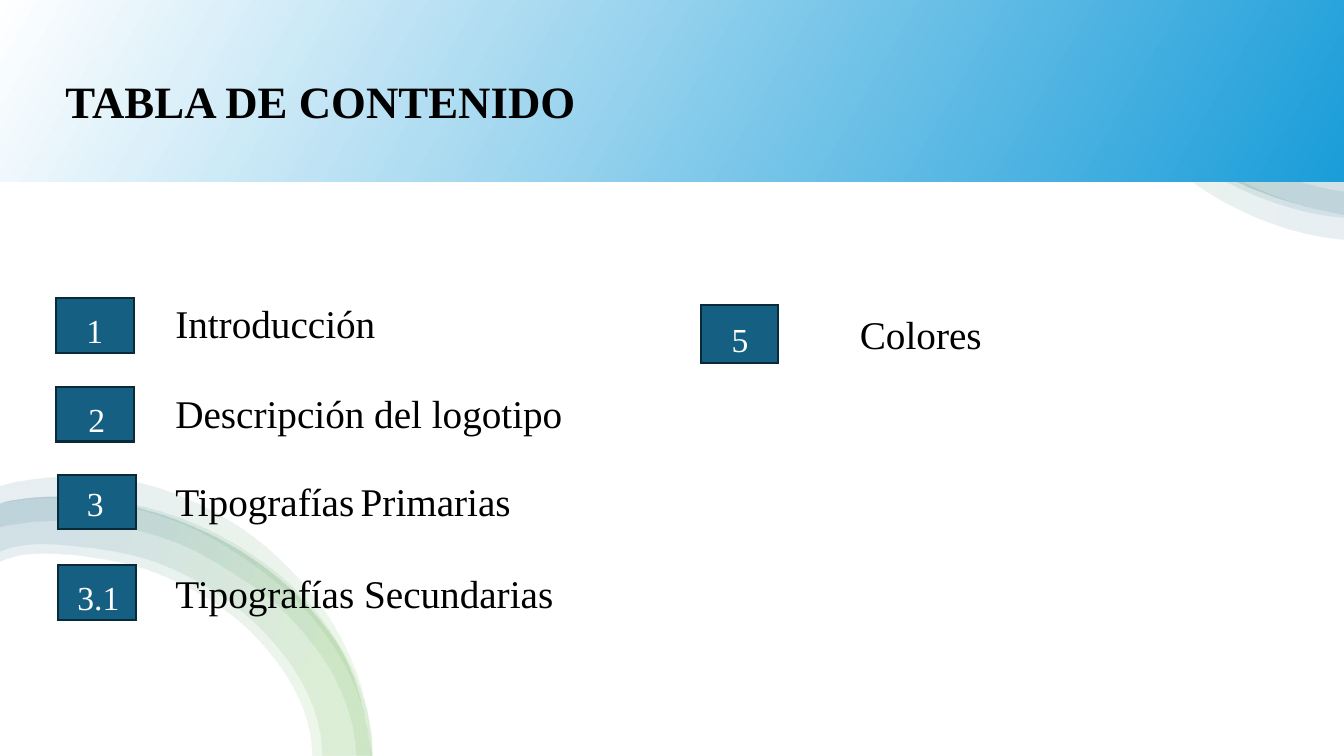
from lxml import etree
from pptx import Presentation
from pptx.dml.color import RGBColor
from pptx.enum.shapes import MSO_SHAPE
from pptx.enum.text import MSO_ANCHOR, MSO_AUTO_SIZE, PP_ALIGN
from pptx.oxml.ns import qn
from pptx.util import Inches, Pt

FONT = "Times New Roman"
rgb = RGBColor.from_string

prs = Presentation()
prs.slide_width, prs.slide_height = Inches(13.33), Inches(7.5)
s = prs.slides.add_slide(prs.slide_layouts[5])


def set_gradient(sp, stops, angle, opacity=100):
    """Fill with (position %, colour) stops at a clockwise angle in degrees."""
    sp.shadow.inherit = False
    sp.line.fill.background()
    sp.fill.gradient()
    grad = sp.element.spPr.find(qn("a:gradFill"))
    stop_list = grad.find(qn("a:gsLst"))
    for old in list(stop_list):
        stop_list.remove(old)
    for pos, color in stops:
        gs = etree.SubElement(stop_list, qn("a:gs"), pos=str(pos * 1000))
        clr = etree.SubElement(gs, qn("a:srgbClr"), val=color)
        if opacity < 100:
            etree.SubElement(clr, qn("a:alpha"), val=str(opacity * 1000))
    grad.find(qn("a:lin")).set("ang", str(angle * 60000))


def add_text(x, y, w, h, runs, color, align=PP_ALIGN.LEFT):
    tf = s.shapes.add_textbox(Inches(x), Inches(y), Inches(w), Inches(h)).text_frame
    tf.word_wrap = True
    tf.auto_size = MSO_AUTO_SIZE.SHAPE_TO_FIT_TEXT
    p = tf.paragraphs[0]
    p.alignment = align
    for text, size in runs:
        r = p.add_run()
        r.text = text
        r.font.name, r.font.size = FONT, Pt(size)
        r.font.color.rgb = rgb(color)


backdrop = s.shapes.add_shape(MSO_SHAPE.RECTANGLE, 0, 0, prs.slide_width, prs.slide_height)
backdrop.shadow.inherit = False
backdrop.fill.solid()
backdrop.fill.fore_color.rgb = rgb("FFFFFF")
backdrop.line.fill.background()

# Translucent rings: outer edge, inner edge, gradient angle
top_edge = [(10.61, 0), (11.25, 1.08), (12.15, 1.75), (13.33, 2.13)]
low_edge = [(3.68, 7.5), (3.47, 6.65), (3.11, 6.09), (2.6, 5.62), (1.98, 5.26),
            (1.3, 5.03), (0.57, 4.94), (0, 5)]
rings = [
    ([(10.58, 0), (10.71, 0.41), (10.97, 0.9), (11.31, 1.35), (11.73, 1.74),
      (12.22, 2.05), (12.76, 2.27), (13.33, 2.38)],
     [(13.33, 2.13), (12.85, 2.02), (12.35, 1.82), (11.88, 1.55), (11.45, 1.22),
      (11.08, 0.83), (10.79, 0.38), (10.64, 0)], 20),
    (top_edge, [(13.33, 1.54), (12.83, 1.4), (12.37, 1.19), (11.95, 0.91),
                (11.64, 0.59), (11.26, 0)], 20),
    ([(10.6, 0), (10.75, 0.43), (11.04, 0.9), (11.4, 1.28), (11.83, 1.61),
      (12.31, 1.88), (12.83, 2.07), (13.33, 2.16)],
     [(13.33, 1.9), (12.91, 1.81), (12.43, 1.64), (11.98, 1.4), (11.57, 1.11),
      (11.22, 0.75), (10.95, 0.34), (10.8, 0)], 20),
    (top_edge, [(13.33, 1.64), (12.79, 1.49), (12.32, 1.28), (11.89, 0.99),
                (11.54, 0.65), (11.15, 0)], 20),
    (low_edge, [(0, 5.58), (0.57, 5.5), (1.49, 5.67), (2.32, 6.13), (2.89, 6.8),
                (3.09, 7.5)], 200),
    (low_edge, [(0, 5.48), (0.57, 5.41), (1.53, 5.58), (2.38, 6.06), (2.98, 6.76),
                (3.19, 7.5)], 200),
    ([(3.68, 7.5), (3.63, 7.06), (3.46, 6.59), (3.18, 6.14), (2.85, 5.78), (2.44, 5.47),
      (1.98, 5.22), (1.5, 5.05), (0.97, 4.94), (0.44, 4.93), (0, 4.99)],
     [(0, 5.23), (0.46, 5.17), (0.94, 5.18), (1.42, 5.28), (1.87, 5.44), (2.29, 5.68),
      (2.68, 5.95), (3.01, 6.29), (3.28, 6.67), (3.46, 7.1), (3.52, 7.5)], 200),
    ([(3.69, 7.5), (3.63, 7.05), (3.5, 6.61), (3.26, 6.14), (2.93, 5.72), (2.53, 5.35),
      (2.07, 5.06), (1.54, 4.84), (1, 4.74), (0.43, 4.75), (0, 4.83)],
     [(0, 5), (0.45, 4.95), (0.97, 4.97), (1.47, 5.09), (1.95, 5.27), (2.39, 5.53),
      (2.8, 5.84), (3.15, 6.21), (3.43, 6.64), (3.61, 7.11), (3.66, 7.5)], 200),
]
for outer, inner, angle in rings:
    builder = s.shapes.build_freeform(*[Inches(q) for q in outer[0]])
    builder.add_line_segments([[Inches(q) for q in pt] for pt in outer[1:] + inner], close=True)
    ring = builder.convert_to_shape()
    lines = list(ring.element.iter(qn("a:lnTo")))
    # Bend every line along an edge into a smooth cubic curve
    for edge, edge_lines in ((outer, lines[:len(outer) - 1]), (inner, lines[len(outer):])):
        before, after = [[3 * q0 - 3 * q1 + q2 for q0, q1, q2 in zip(*ends)]
                         for ends in (edge[:3], edge[:-4:-1])]
        knots = [before, *edge, after]
        for line, a, b, c, d in zip(edge_lines, knots, knots[1:], knots[2:], knots[3:]):
            line.tag = qn("a:cubicBezTo")
            handles = [[q1 + (q2 - q0) / 6 for q0, q1, q2 in zip(a, b, c)],
                       [q2 - (q3 - q1) / 6 for q1, q2, q3 in zip(b, c, d)]]
            for i, (x, y) in enumerate(handles):
                line.insert(i, etree.Element(qn("a:pt"), x=str(Inches(x) - ring.left),
                                             y=str(Inches(y) - ring.top)))
    set_gradient(ring, [(16, "4EA72E"), (85, "156082")], angle, opacity=10)

banner = s.shapes.add_shape(MSO_SHAPE.RECTANGLE, 0, 0, prs.slide_width, Inches(1.8))
set_gradient(banner, [(0, "FFFFFF"), (100, "1A9DD9")], 30)

title = s.shapes.title
banner.element.addnext(title.element)
title.left, title.top = Inches(-2.64), Inches(0.47)
title.width, title.height = Inches(11.64), Inches(0.85)
tf = title.text_frame
tf.text = "TABLA DE CONTENIDO"
tf.auto_size = MSO_AUTO_SIZE.NONE
tf.vertical_anchor = MSO_ANCHOR.BOTTOM
p = tf.paragraphs[0]
p.alignment = PP_ALIGN.CENTER
p.line_spacing, p.space_after = 0.9, Pt(6)
r = p.runs[0]
r.font.name, r.font.size, r.font.bold = FONT, Pt(32), True
r.font.color.rgb = rgb("000000")

# Badge (left, top, height), number (text, left, top, width), label (left, top, width, runs)
entries = [
    ((0.56, 2.96, 0.54), ("1", 0.64, 3.03, 0.6), (1.64, 2.92, 2.51, [("Introducción", 28)])),
    ((0.56, 3.84, 0.54), ("2", 0.66, 3.91, 0.6),
     (1.64, 3.81, 4.69, [("Descripción del logotipo", 28)])),
    ((0.58, 4.71, 0.54), ("3", 0.56, 4.74, 0.77),
     (1.64, 4.69, 4.19, [("Tipografías", 28), (" ", 18), ("Primarias", 28)])),
    ((0.58, 5.61, 0.54), ("3.1", 0.59, 5.67, 0.77),
     (1.64, 5.6, 4.68, [("Tipografías Secundarias", 28)])),
    ((6.95, 3.03, 0.57), ("5", 7.04, 3.11, 0.6), (8.43, 3.03, 2.18, [("Colores", 28)])),
]
for (x, y, h), (number, num_x, num_y, num_w), (label_x, label_y, label_w, runs) in entries:
    badge = s.shapes.add_shape(MSO_SHAPE.RECTANGLE, Inches(x), Inches(y), Inches(0.77), Inches(h))
    badge.shadow.inherit = False
    badge.fill.solid()
    badge.fill.fore_color.rgb = rgb("156082")
    badge.line.color.rgb = rgb("092A39")
    badge.line.width = Pt(1.5)
    etree.SubElement(badge.element.spPr.find(qn("a:ln")), qn("a:miter"), lim="800000")
    add_text(num_x, num_y, num_w, 0.5, [(number, 24)], "FFFFFF", PP_ALIGN.CENTER)
    add_text(label_x, label_y, label_w, 0.57, runs, "000000")

prs.save("out.pptx")
